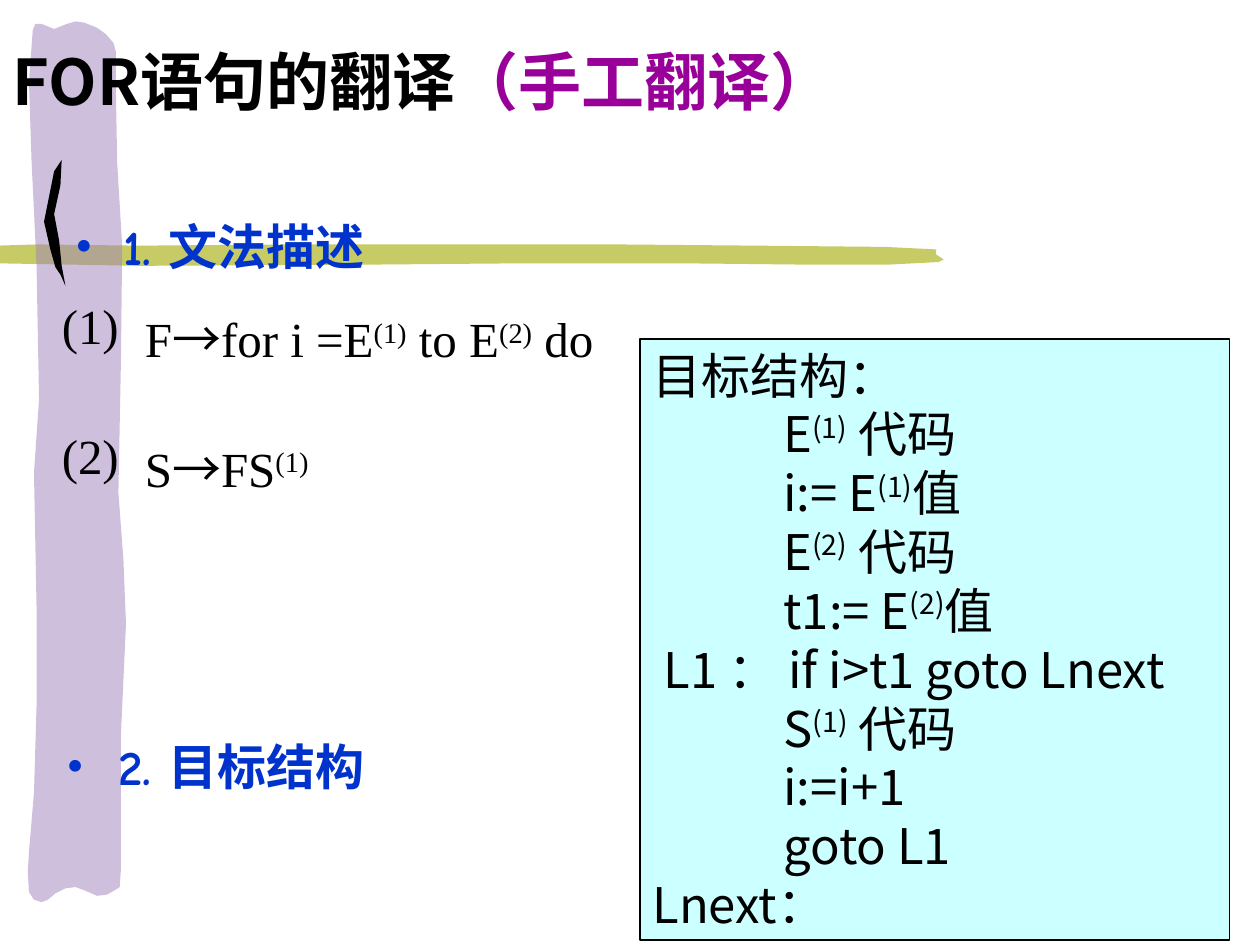
"""Build a slide on translating FOR statements: grammar and target structure."""
import pptx
import pptx.dml.color
import pptx.enum.shapes
import pptx.enum.text
import pptx.oxml.ns
import pptx.util
from lxml import etree
from pptx.util import Inches

BLACK = pptx.dml.color.RGBColor(0x00, 0x00, 0x00)
BLUE = pptx.dml.color.RGBColor(0x00, 0x33, 0xCC)
PURPLE = pptx.dml.color.RGBColor(0x99, 0x00, 0x99)
LILAC = pptx.dml.color.RGBColor(0x9F, 0x83, 0xBD)
OLIVE = pptx.dml.color.RGBColor(0xC6, 0xCB, 0x65)
CYAN = pptx.dml.color.RGBColor(0xCC, 0xFF, 0xFF)
SANS, CHINESE = "Noto Sans CJK JP", "Noto Sans CJK SC"
COMIC, SERIF = "Comic Neue", "Times New Roman"
qn = pptx.oxml.ns.qn


def add_span(para, text, color=BLACK, raised=False, **formats):
    span = para.add_run()
    span.text = text
    span.font.color.rgb = color
    for name, value in formats.items():
        setattr(span.font, name, value)
    properties = span.font._element
    etree.SubElement(properties, qn("a:ea")).set("typeface", CHINESE)
    if raised:
        properties.set("baseline", "30000")


def add_marked(para, text, **formats):
    for index, part in enumerate(text.split("^")):
        for piece in part.replace("→", "|→|").split("|"):
            if piece:
                font = CHINESE if piece == "→" else formats["name"]
                add_span(para, piece, raised=index % 2 == 1, **{**formats, "name": font})


deck = pptx.Presentation()
deck.slide_width, deck.slide_height = Inches(10), Inches(7.5)
slide = deck.slides.add_slide(deck.slide_layouts[5])

brush_strokes = [
    (OLIVE, None, [
        (6.01, 1.95), (7.02, 1.96), (7.43, 1.98), (7.43, 2.02), (7.49, 2.06), (7.45, 2.08),
        (7.06, 2.1), (6.35, 2.1), (5.41, 2.09), (4.14, 2.09), (2.98, 2.1), (1.11, 2.11),
        (-0.02, 2.09), (-0.03, 1.95), (0.3, 1.94), (1.11, 1.95), (2.32, 1.94),
        (3.91, 1.94), (4.89, 1.94)]),
    (LILAC, 50, [
        (0.29, 5.61), (0.29, 4.81), (0.27, 3.75), (0.31, 3.17), (0.29, 2.1), (0.25, 1.27),
        (0.23, 0.65), (0.26, 0.24), (0.28, 0.19), (0.33, 0.19), (0.43, 0.23), (0.53, 0.19),
        (0.6, 0.17), (0.67, 0.18), (0.77, 0.22), (0.84, 0.27), (0.9, 0.34), (0.92, 0.41),
        (0.92, 0.71), (0.93, 1.29), (0.97, 1.95), (0.96, 2.86), (0.94, 3.91), (0.98, 4.45),
        (1, 4.95), (0.96, 5.83), (0.96, 6.9), (0.95, 7.04), (0.92, 7.06), (0.85, 7.1),
        (0.77, 7.11), (0.68, 7.07), (0.6, 7.04), (0.52, 7.05), (0.44, 7.09), (0.38, 7.14),
        (0.33, 7.16), (0.27, 7.14), (0.23, 7.08), (0.22, 6.92), (0.23, 6.76), (0.27, 6.29)]),
    (BLACK, None, [
        (0.49, 1.27), (0.48, 1.47), (0.43, 1.7), (0.47, 1.91), (0.49, 2.11), (0.52, 2.27),
        (0.48, 2.18), (0.44, 2.12), (0.4, 1.98), (0.35, 1.76), (0.39, 1.56), (0.43, 1.36)]),
]
for color, opacity, points in brush_strokes:
    corners = [(Inches(x), Inches(y)) for x, y in points]
    builder = slide.shapes.build_freeform(*corners[0])
    builder.add_line_segments(corners[1:], close=True)
    stroke = builder.convert_to_shape()
    stroke.shadow.inherit = False
    stroke.fill.solid()
    stroke.fill.fore_color.rgb = color
    stroke.line.fill.background()
    if opacity:
        tint = stroke._element.spPr.find(qn("a:solidFill"))[0]
        etree.SubElement(tint, qn("a:alpha")).set("val", str(opacity * 1000))

title = slide.shapes.title
title.left, title.top, title.width, title.height = map(Inches, (0, 0.28, 9.02, 0.71))
slide.shapes._spTree.append(title._element)
title.text_frame.vertical_anchor = pptx.enum.text.MSO_ANCHOR.MIDDLE
para = title.text_frame.paragraphs[0]
para.alignment = pptx.enum.text.PP_ALIGN.LEFT
heading = {"size": pptx.util.Pt(36), "bold": True}
add_span(para, "FOR语句的翻译", name=SANS, **heading)
add_span(para, "（手工翻译）", PURPLE, name=COMIC, **heading)

body = {"size": pptx.util.Pt(28)}
sections = [
    ("1. 文法描述", (0.5, 1.67, 4.42, 0.67), 0.38),
    ("2. 目标结构", (0.43, 5.8, 3.67, 0.57), 0.41),
]
for text, place, indent in sections:
    box = slide.shapes.add_textbox(*map(Inches, place))
    box.text_frame.word_wrap = True
    para = box.text_frame.paragraphs[0]
    properties = para._p.get_or_add_pPr()
    properties.set("marL", str(Inches(indent)))
    properties.set("indent", str(-Inches(indent)))
    bullet_color = etree.SubElement(properties, qn("a:buClr"))
    etree.SubElement(bullet_color, qn("a:srgbClr")).set("val", str(BLUE))
    etree.SubElement(properties, qn("a:buFont")).set("typeface", SERIF)
    etree.SubElement(properties, qn("a:buChar")).set("char", "•")
    add_span(para, text, BLUE, name=COMIC, bold=True, **body)

rules = [("(1)", "F→for i =E^(1)^ to E^(2)^ do"), ("(2)", "S→FS^(1)^")]
frame = slide.shapes.add_table(2, 2, *map(Inches, (0.39, 2.34, 5.01, 2.07)))
table = frame.table
table.first_row = table.horz_banding = False
table._tbl.tblPr.find(qn("a:tableStyleId")).text = "{2D5ABB26-0587-4C30-8999-92F81FD0307C}"
for column, width in zip(table.columns, (0.66, 4.35)):
    column.width = Inches(width)
for row, texts in zip(table.rows, rules):
    row.height = Inches(1.03)
    for cell, text in zip(row.cells, texts):
        cell.fill.background()
        add_marked(cell.text_frame.paragraphs[0], text, name=SERIF, **body)

code_lines = [
    (0, "目标结构："),
    (1.04, "E^(1)^ 代码"),
    (1.04, "i:= E^(1)^值"),
    (1.04, "E^(2)^ 代码"),
    (1.04, "t1:= E^(2)^值"),
    (0.09, "L1 ： if i>t1 goto Lnext"),
    (1.04, "S^(1)^ 代码"),
    (1.04, "i:=i+1"),
    (1.04, "goto L1"),
    (0, "Lnext："),
]
target = slide.shapes.add_shape(
    pptx.enum.shapes.MSO_SHAPE.RECTANGLE, *map(Inches, (5.08, 2.69, 4.68, 4.77)))
target.shadow.inherit = False
target.fill.solid()
target.fill.fore_color.rgb = CYAN
target.line.color.rgb = BLACK
target.line.width = pptx.util.Pt(0.75)
target.text_frame.word_wrap = True
target.text_frame.vertical_anchor = pptx.enum.text.MSO_ANCHOR.TOP
for index, (indent, text) in enumerate(code_lines):
    para = target.text_frame.add_paragraph() if index else target.text_frame.paragraphs[0]
    para.alignment = pptx.enum.text.PP_ALIGN.LEFT
    para._p.get_or_add_pPr().set("marL", str(Inches(indent)))
    add_marked(para, text, name=SANS, **body)

deck.save("out.pptx")
